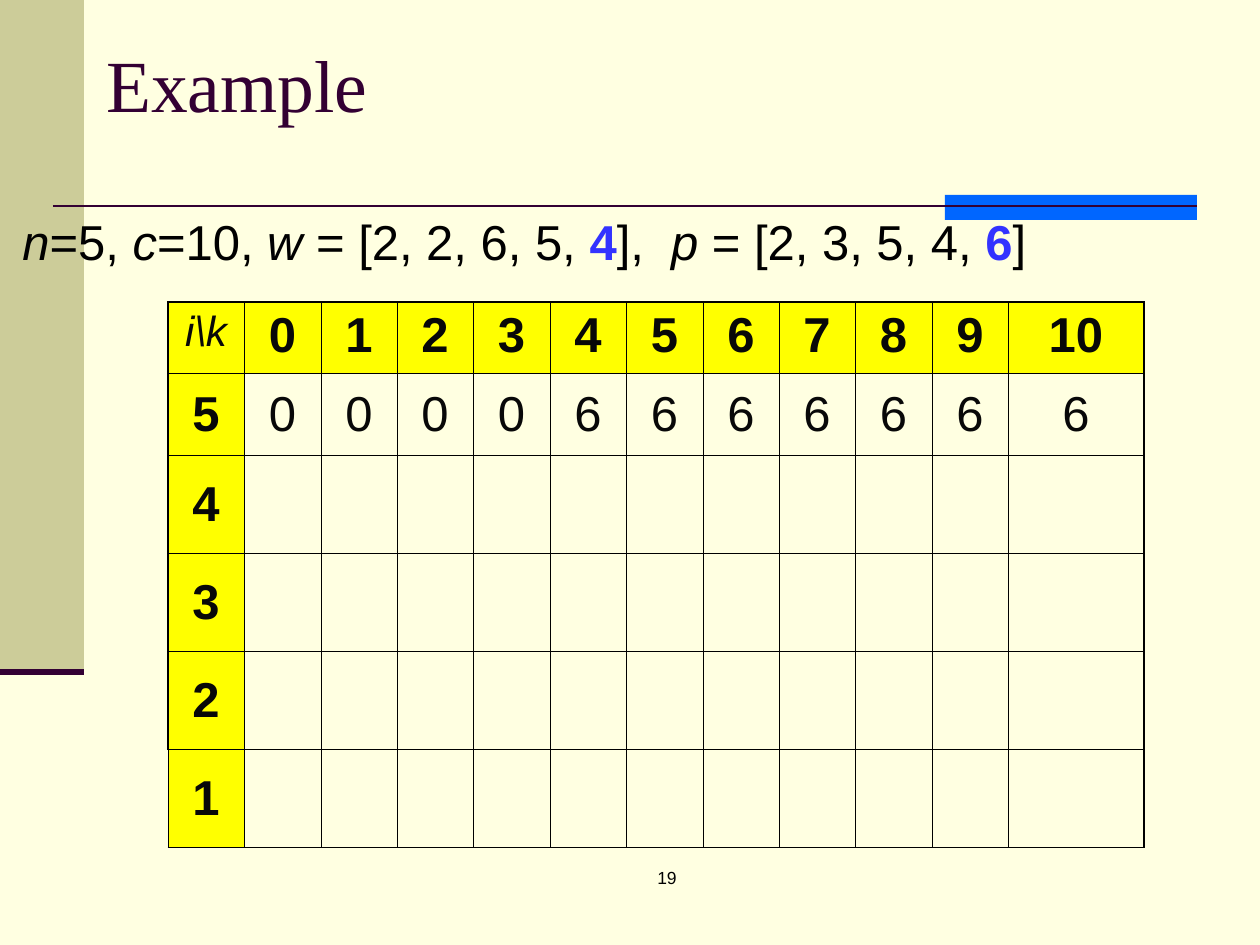
from lxml.etree import SubElement
from pptx import Presentation
from pptx.dml.color import RGBColor
from pptx.enum.shapes import MSO_CONNECTOR, MSO_SHAPE
from pptx.enum.text import MSO_ANCHOR, PP_ALIGN
from pptx.oxml import parse_xml
from pptx.oxml.ns import nsdecls, qn
from pptx.util import Emu, Pt

COLORS = {
    "background": "FFFFE1", "sidebar": "CCCC99", "accent": "0066FF",
    "plum": "330033", "black": "000000", "highlight": "3333FF",
    "header": "FFFF00", "cell_text": "080808",
}


def px(length):
    return Emu(round(length * 914400 / 126))


def style(span, size, color, font="Arial", bold=False, italic=False):
    span.font.size = Pt(size)
    span.font.name = font
    span.font.bold = bold
    span.font.italic = italic
    span.font.color.rgb = RGBColor.from_string(COLORS[color])


deck = Presentation()
deck.slide_width, deck.slide_height = px(1260), px(945)
page = deck.slides.add_slide(deck.slide_layouts[6])
page.background.fill.solid()
page.background.fill.fore_color.rgb = RGBColor.from_string(COLORS["background"])

# Sidebar and accent bar
for left, top, width, height, color in [
    (0, 0, 84, 672, "sidebar"),
    (945, 195, 252, 25, "accent"),
]:
    bar = page.shapes.add_shape(
        MSO_SHAPE.RECTANGLE, px(left), px(top), px(width), px(height))
    bar.shadow.inherit = False
    bar.fill.solid()
    bar.fill.fore_color.rgb = RGBColor.from_string(COLORS[color])
    bar.line.fill.background()

# Rules under the title and the sidebar
for left, right, y, weight in [(53, 1197, 206, 1.5), (0, 84, 672, 3.5)]:
    rule = page.shapes.add_connector(
        MSO_CONNECTOR.STRAIGHT, px(left), px(y), px(right), px(y))
    rule.line.color.rgb = RGBColor.from_string(COLORS["plum"])
    rule.line.width = Pt(weight)
    SubElement(rule.element.spPr, qn("a:effectLst"))

# Page number, title and problem data
plain = {"size": 28, "color": "black"}
variable = {**plain, "italic": True}
newest = {"size": 28, "color": "highlight", "bold": True}
texts = [
    ((462, 861, 410, 63), 6, MSO_ANCHOR.TOP, PP_ALIGN.CENTER,
     [("19", {"size": 10, "color": "black"})]),
    ((94, 26, 1071, 105), 16, MSO_ANCHOR.MIDDLE, PP_ALIGN.LEFT,
     [("Example", {"size": 42, "color": "plum", "font": "Times New Roman"})]),
    ((10, 199, 1187, 116), 13, MSO_ANCHOR.TOP, PP_ALIGN.LEFT,
     [("n", variable), ("=5, ", plain), ("c", variable), ("=10, ", plain),
      ("w", variable), (" = [2, 2, 6, 5, ", plain), ("4", newest),
      ("],  ", plain), ("p", variable), (" = [2, 3, 5, 4, ", plain),
      ("6", newest), ("]", plain)]),
]
for place, inset, anchor, alignment, spans in texts:
    box = page.shapes.add_textbox(*map(px, place))
    frame = box.text_frame
    frame.word_wrap = True
    frame.margin_top = px(inset)
    frame.vertical_anchor = anchor
    paragraph = frame.paragraphs[0]
    paragraph.alignment = alignment
    for text, look in spans:
        span = paragraph.add_run()
        span.text = text
        style(span, **look)

# Table of values: items down, capacities across
rows = [
    ["i\\k", *range(11)],
    [5, 0, 0, 0, 0, 6, 6, 6, 6, 6, 6, 6],
    [4], [3], [2], [1],
]
heights = [71, 82, 98, 98, 98, 98]
edges = [168 + round(840 * i / 11) for i in range(12)] + [1144]
last_row, last_column = len(rows) - 1, len(edges) - 2
table = page.shapes.add_table(
    len(rows), len(edges) - 1, px(edges[0]), px(302),
    px(edges[-1] - edges[0]), px(sum(heights))).table
table.first_row = table.horz_banding = False
for column, left, right in zip(table.columns, edges, edges[1:]):
    column.width = px(right - left)
for row, height in zip(table.rows, heights):
    row.height = px(height)

for r, values in enumerate(rows):
    for c in range(last_column + 1):
        cell = table.cell(r, c)
        is_header = r == 0 or c == 0
        if is_header:
            cell.fill.solid()
            cell.fill.fore_color.rgb = RGBColor.from_string(COLORS["header"])
        else:
            cell.fill.background()
        cell.vertical_anchor = MSO_ANCHOR.MIDDLE if r else MSO_ANCHOR.TOP
        if c < len(values):
            paragraph = cell.text_frame.paragraphs[0]
            paragraph.text = str(values[c])
            paragraph.alignment = PP_ALIGN.CENTER
            corner = r == c == 0
            style(paragraph.runs[0], 24 if corner else 28, "cell_text",
                  bold=is_header and not corner, italic=corner)

        # Thin grid with a heavier outer frame
        heavy_sides = {
            "lnL": c == 0 and r < last_row, "lnR": c == last_column,
            "lnT": r == 0, "lnB": r == last_row,
        }
        properties = cell._tc.get_or_add_tcPr()
        for position, (side, heavy) in enumerate(heavy_sides.items()):
            width = Pt(1.08 if heavy else 0.45)
            properties.insert(position, parse_xml(
                f'<a:{side} {nsdecls("a")} w="{width}"><a:solidFill>'
                f'<a:srgbClr val="{COLORS["black"]}"/></a:solidFill></a:{side}>'))

deck.save("out.pptx")
